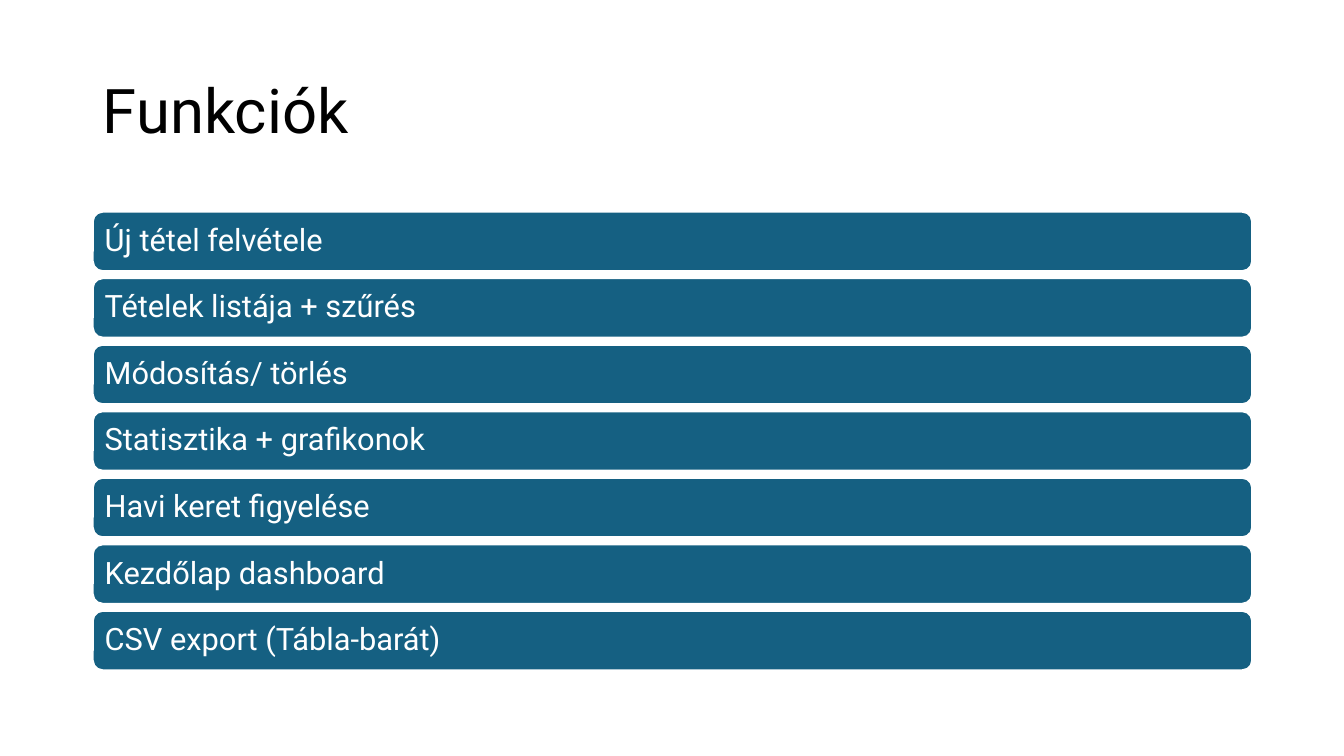
from pptx import Presentation
from pptx.dml.color import RGBColor
from pptx.enum.shapes import MSO_SHAPE as Shape
from pptx.enum.text import MSO_ANCHOR as Anchor, PP_ALIGN as Align
from pptx.util import Inches, Pt

FONT = "Roboto"
LEFT, WIDTH = 0.92, 11.5
TOP, PITCH, HEIGHT = 2.1, 0.66, 0.59
ITEMS = [
    "Új tétel felvétele",
    "Tételek listája + szűrés",
    "Módosítás/ törlés",
    "Statisztika + grafikonok",
    "Havi keret figyelése",
    "Kezdőlap dashboard",
    "CSV export (Tábla-barát)",
]


def color(code):
    return RGBColor.from_string(code)


def write(shape, text, size, code):
    """Put one left-aligned, vertically centred line into a shape."""
    frame = shape.text_frame
    frame.text = text
    frame.word_wrap = True
    frame.vertical_anchor = Anchor.MIDDLE
    line = frame.paragraphs[0]
    line.alignment = Align.LEFT
    line.line_spacing = 0.9
    line.font.name = FONT
    line.font.size = Pt(size)
    line.font.color.rgb = color(code)


def set_title(slide, text):
    title = slide.shapes.title
    title.left, title.top = Inches(LEFT), Inches(0.4)
    title.width, title.height = Inches(WIDTH), Inches(1.45)
    write(title, text, 44, "000000")


def add_bar(slide, row, text):
    bar = slide.shapes.add_shape(
        Shape.ROUNDED_RECTANGLE, Inches(LEFT), Inches(TOP + row * PITCH),
        Inches(WIDTH), Inches(HEIGHT))
    bar.shadow.inherit = False
    bar.fill.solid()
    bar.fill.fore_color.rgb = color("156082")
    bar.line.color.rgb = color("FFFFFF")
    bar.line.width = Pt(1.5)
    frame = bar.text_frame
    frame.margin_left = frame.margin_right = Inches(0.09)
    frame.margin_top = frame.margin_bottom = Inches(0.09)
    write(bar, text, 22, "FFFFFF")


def main():
    deck = Presentation()
    deck.slide_width, deck.slide_height = Inches(13.33), Inches(7.5)
    slide = deck.slides.add_slide(deck.slide_layouts.get_by_name("Title Only"))
    set_title(slide, "Funkciók")
    for row, text in enumerate(ITEMS):
        add_bar(slide, row, text)
    deck.save("out.pptx")


if __name__ == "__main__":
    main()
